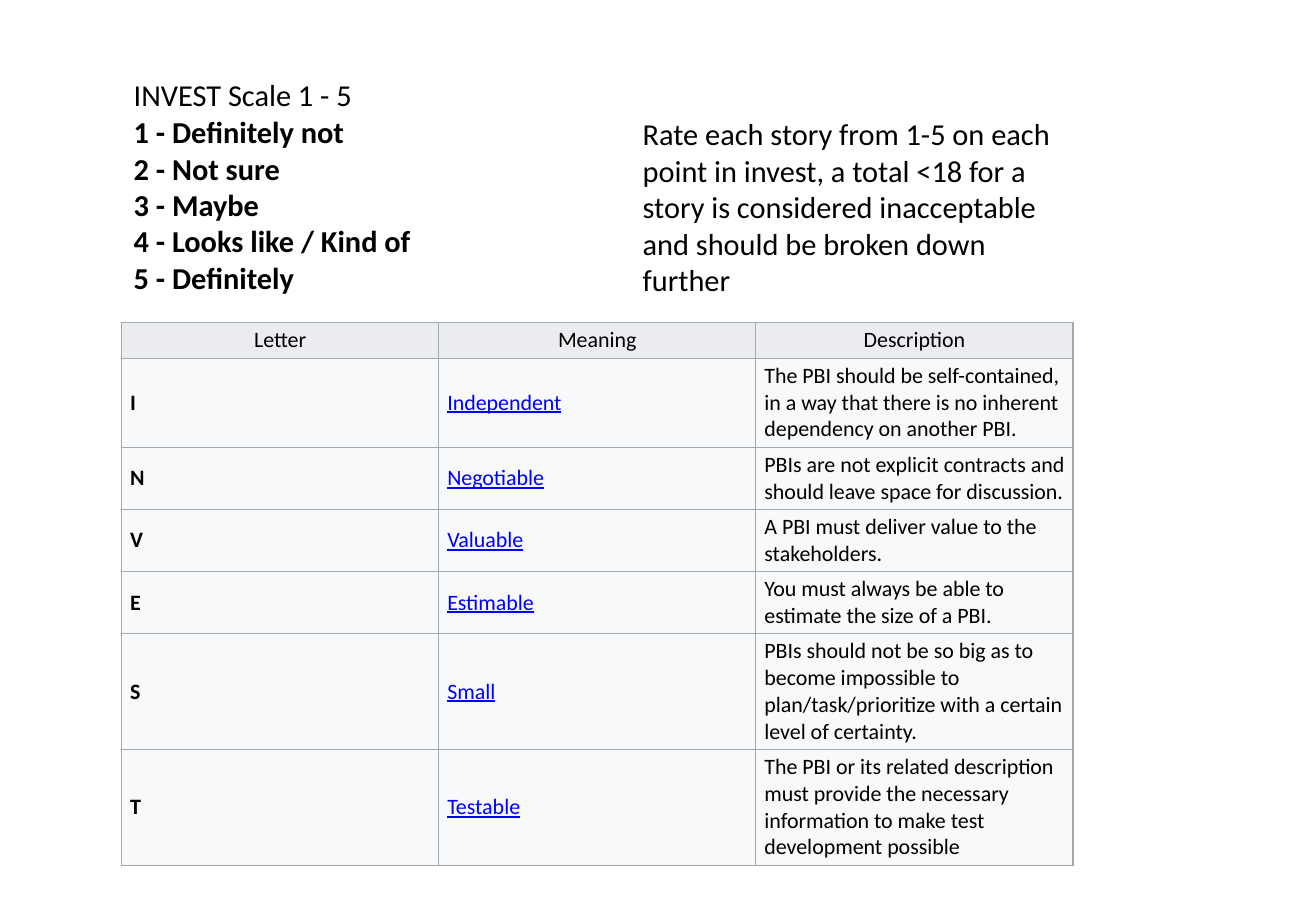
from dataclasses import dataclass

from lxml.etree import SubElement
from pptx import Presentation
from pptx.dml.color import RGBColor
from pptx.enum.text import MSO_ANCHOR, MSO_AUTO_SIZE, PP_ALIGN
from pptx.oxml.ns import qn
from pptx.util import Cm, Pt

COLORS = {
    "text": "000000",
    "link": "0000FF",
    "header": "EAECF0",
    "body": "F8F9FA",
    "border": "A2A9B1",
}
FONT = "Calibri"
TEXT_SIZE, TABLE_SIZE = 18, 13
TABLE_LEFT, TABLE_TOP, COLUMN_WIDTH = 2.54, 6.75, 6.63
LINE_HEIGHT, PAD_X, PAD_Y = 0.56, 0.18, 0.09
BORDER_WIDTH = 0.75


@dataclass
class TextBlock:
    placeholder: int
    left: float
    top: float
    width: float
    height: float
    lines: list[str]
    bold: bool = False


@dataclass
class Criterion:
    letter: str
    meaning: str
    description: str
    lines: int


BLOCKS = [
    TextBlock(0, 2.54, 1.47, 6.83, 1.02, ["INVEST Scale 1 - 5"]),
    TextBlock(1, 2.54, 2.24, 6.83, 4.11, [
        "1 - Definitely not", "2 - Not sure", "3 - Maybe",
        "4 - Looks like / Kind of", "5 - Definitely"], True),
    TextBlock(2, 13.18, 2.29, 9.25, 4.11, [
        "Rate each story from 1-5 on each point in invest, a total <18 for a "
        "story is considered inacceptable and should be broken down further"]),
]
HEADINGS = ["Letter", "Meaning", "Description"]
CRITERIA = [
    Criterion("I", "Independent", "The PBI should be self-contained, in a way that "
              "there is no inherent dependency on another PBI.", 3),
    Criterion("N", "Negotiable", "PBIs are not explicit contracts and should leave "
              "space for discussion.", 2),
    Criterion("V", "Valuable", "A PBI must deliver value to the stakeholders.", 2),
    Criterion("E", "Estimable", "You must always be able to estimate the size of a PBI.", 2),
    Criterion("S", "Small", "PBIs should not be so big as to become impossible to "
              "plan/task/prioritize with a certain level of certainty.", 4),
    Criterion("T", "Testable", "The PBI or its related description must provide the "
              "necessary information to make test development possible", 4),
]
COLUMN_FORMATS = [{"bold": True}, {"underline": True}, {}]
COLUMN_COLORS = ["text", "link", "text"]


def set_attributes(target, values: dict) -> None:
    for name, value in values.items():
        setattr(target, name, value)


def write(p, text: str, size: int, color: str = "text", **formats) -> None:
    r = p.add_run()
    r.text = text
    set_attributes(r.font, {"name": FONT, "size": Pt(size), "bold": False, **formats})
    r.font.color.rgb = RGBColor.from_string(COLORS[color])


def draw_block(s, block: TextBlock) -> None:
    sp = s.placeholders[block.placeholder]
    set_attributes(sp, {name: Cm(getattr(block, name))
                        for name in ("left", "top", "width", "height")})
    tf = sp.text_frame
    set_attributes(tf, {"word_wrap": True, "auto_size": MSO_AUTO_SIZE.NONE,
                        "vertical_anchor": MSO_ANCHOR.TOP})
    for i, line in enumerate(block.lines):
        p = tf.add_paragraph() if i else tf.paragraphs[0]
        set_attributes(p, {"alignment": PP_ALIGN.LEFT, "space_before": Pt(0)})
        pPr = p._p.get_or_add_pPr()
        pPr.set("marL", "0")
        pPr.set("indent", "0")
        SubElement(pPr, qn("a:buNone"))
        write(p, line, TEXT_SIZE, bold=block.bold)


def style_cell(cell, fill: str) -> None:
    set_attributes(cell, {
        "margin_left": Cm(PAD_X), "margin_right": Cm(PAD_X),
        "margin_top": Cm(PAD_Y), "margin_bottom": Cm(PAD_Y),
        "vertical_anchor": MSO_ANCHOR.MIDDLE})
    tcPr = cell._tc.get_or_add_tcPr()
    for side in ("a:lnL", "a:lnR", "a:lnT", "a:lnB"):
        ln = SubElement(tcPr, qn(side), w=str(Pt(BORDER_WIDTH)))
        line_fill = SubElement(ln, qn("a:solidFill"))
        SubElement(line_fill, qn("a:srgbClr"), val=COLORS["border"])
    cell.fill.solid()
    cell.fill.fore_color.rgb = RGBColor.from_string(COLORS[fill])


def draw_table(s, criteria: list[Criterion]) -> None:
    heights = [n * LINE_HEIGHT + 2 * PAD_Y for n in [1] + [c.lines for c in criteria]]
    table = s.shapes.add_table(
        len(heights), len(HEADINGS), Cm(TABLE_LEFT), Cm(TABLE_TOP),
        Cm(COLUMN_WIDTH * len(HEADINGS)), Cm(sum(heights))).table
    set_attributes(table, {"first_row": False, "horz_banding": False})
    for column in table.columns:
        column.width = Cm(COLUMN_WIDTH)
    for row, height in zip(table.rows, heights):
        row.height = Cm(height)
    for j, heading in enumerate(HEADINGS):
        cell = table.cell(0, j)
        style_cell(cell, "header")
        p = cell.text_frame.paragraphs[0]
        p.alignment = PP_ALIGN.CENTER
        write(p, heading, TABLE_SIZE)
    for i, criterion in enumerate(criteria, 1):
        texts = [criterion.letter, criterion.meaning, criterion.description]
        for j, text in enumerate(texts):
            cell = table.cell(i, j)
            style_cell(cell, "body")
            write(cell.text_frame.paragraphs[0], text, TABLE_SIZE,
                  COLUMN_COLORS[j], **COLUMN_FORMATS[j])


def main() -> None:
    """Build the INVEST rating slide and save it."""
    prs = Presentation()
    set_attributes(prs, {"slide_width": Cm(27.51), "slide_height": Cm(19.05)})
    s = prs.slides.add_slide(prs.slide_layouts[3])
    for block in BLOCKS:
        draw_block(s, block)
    draw_table(s, CRITERIA)
    prs.save("out.pptx")


main()
